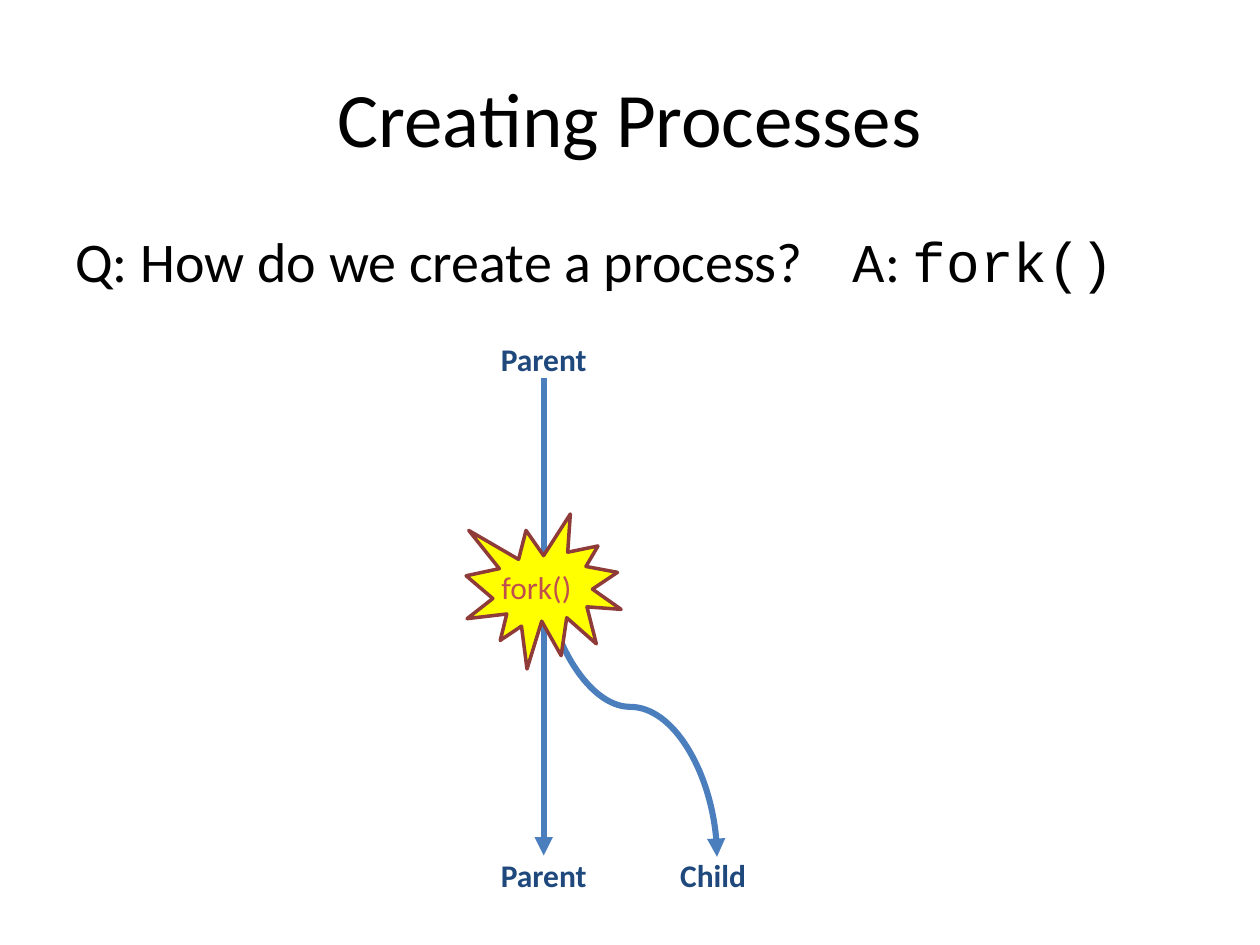
from lxml.etree import SubElement
from pptx import Presentation
from pptx.dml.color import RGBColor
from pptx.enum.shapes import MSO_CONNECTOR, MSO_SHAPE
from pptx.enum.text import MSO_ANCHOR as Anchor, PP_ALIGN as Align
from pptx.oxml.ns import qn
from pptx.util import Inches, Pt

COLORS = {
    "text": "000000",
    "label": "1F497D",
    "arrow": "4B7EBC",
    "burst": "FFFF00",
    "burst_line": "8E3B39",
    "burst_text": "C0504D",
}


def color(name):
    return RGBColor.from_string(COLORS[name])


def set_frame(frame, margins, anchor, wrap=True):
    frame.word_wrap = wrap
    frame.vertical_anchor = anchor
    (frame.margin_left, frame.margin_top,
     frame.margin_right, frame.margin_bottom) = map(Inches, margins)


def set_font(font, size, color_name, bold=False, name="Calibri"):
    font.name = name
    font.size = Pt(size)
    font.bold = bold
    font.color.rgb = color(color_name)


def add_text(page, place, text, size, color_name="text", bold=False,
             align=Align.CENTER, anchor=Anchor.TOP, margins=(0.1, 0.05, 0.1, 0.05)):
    box = page.shapes.add_textbox(*map(Inches, place))
    set_frame(box.text_frame, margins, anchor)
    para = box.text_frame.paragraphs[0]
    para.text = text
    para.alignment = align
    set_font(para.runs[0].font, size, color_name, bold)
    return box


def add_label(page, left, top, text, anchor=Anchor.TOP, right=0):
    bottom = 0 if anchor == Anchor.BOTTOM else 0.05
    return add_text(page, (left, top, 1.25, 0.42), text, 18, "label", True,
                    anchor=anchor, margins=(0, 0, right, bottom))


def add_question(page):
    box = add_text(page, (0.5, 1.75, 9.33, 0.67), "Q: How do we create a process?",
                   32, align=Align.LEFT)
    para = box.text_frame.paragraphs[0]
    stops = SubElement(para._p.get_or_add_pPr(), qn("a:tabLst"))
    SubElement(stops, qn("a:tab"), pos=str(Inches(6.17)), algn="l")
    for text, name in (("\tA: ", "Calibri"), ("fork()", "Courier New")):
        span = para.add_run()
        span.text = text
        set_font(span.font, 32, "text", name=name)


def add_arrow(page, kind, begin, end):
    arrow = page.shapes.add_connector(kind, *map(Inches, begin + end))
    arrow.line.color.rgb = color("arrow")
    arrow.line.width = Pt(3.5)
    SubElement(arrow.line._get_or_add_ln(), qn("a:tailEnd"), type="triangle")
    SubElement(arrow._element.spPr, qn("a:effectLst"))
    return arrow


def add_burst(page):
    burst = page.shapes.add_shape(MSO_SHAPE.EXPLOSION1,
                                  *map(Inches, (3.7, 4.08, 1.23, 1.23)))
    burst.shadow.inherit = False
    burst.fill.solid()
    burst.fill.fore_color.rgb = color("burst")
    burst.line.color.rgb = color("burst_line")
    burst.line.width = Pt(2)
    set_frame(burst.text_frame, (0, 0, 0.1, 0), Anchor.MIDDLE, wrap=False)
    para = burst.text_frame.paragraphs[0]
    para.text = "fork()"
    para.alignment = Align.CENTER
    set_font(para.runs[0].font, 18, "burst_text")


def main():
    """Build the slide on creating processes with fork()."""
    deck = Presentation()
    deck.slide_width, deck.slide_height = Inches(10), Inches(7.5)
    page = deck.slides.add_slide(deck.slide_layouts[6])

    add_text(page, (0.5, 0.3, 9, 1.25), "Creating Processes", 44, anchor=Anchor.MIDDLE)
    add_question(page)

    parent_before = add_label(page, 3.69, 2.58, "Parent", Anchor.BOTTOM)
    parent_after = add_label(page, 3.69, 6.79, "Parent")
    add_label(page, 5.06, 6.79, "Child", right=0.05)

    parent_arrow = add_arrow(page, MSO_CONNECTOR.STRAIGHT, (4.31, 3), (4.31, 6.79))
    parent_arrow.begin_connect(parent_before, 2)
    parent_arrow.end_connect(parent_after, 0)
    child_arrow = add_arrow(page, MSO_CONNECTOR.CURVE, (6.19, 4.92), (3.81, 6.3))
    child_arrow._element.spPr.xfrm.set("rot", str(270 * 60000))
    add_burst(page)

    deck.save("out.pptx")


if __name__ == "__main__":
    main()
